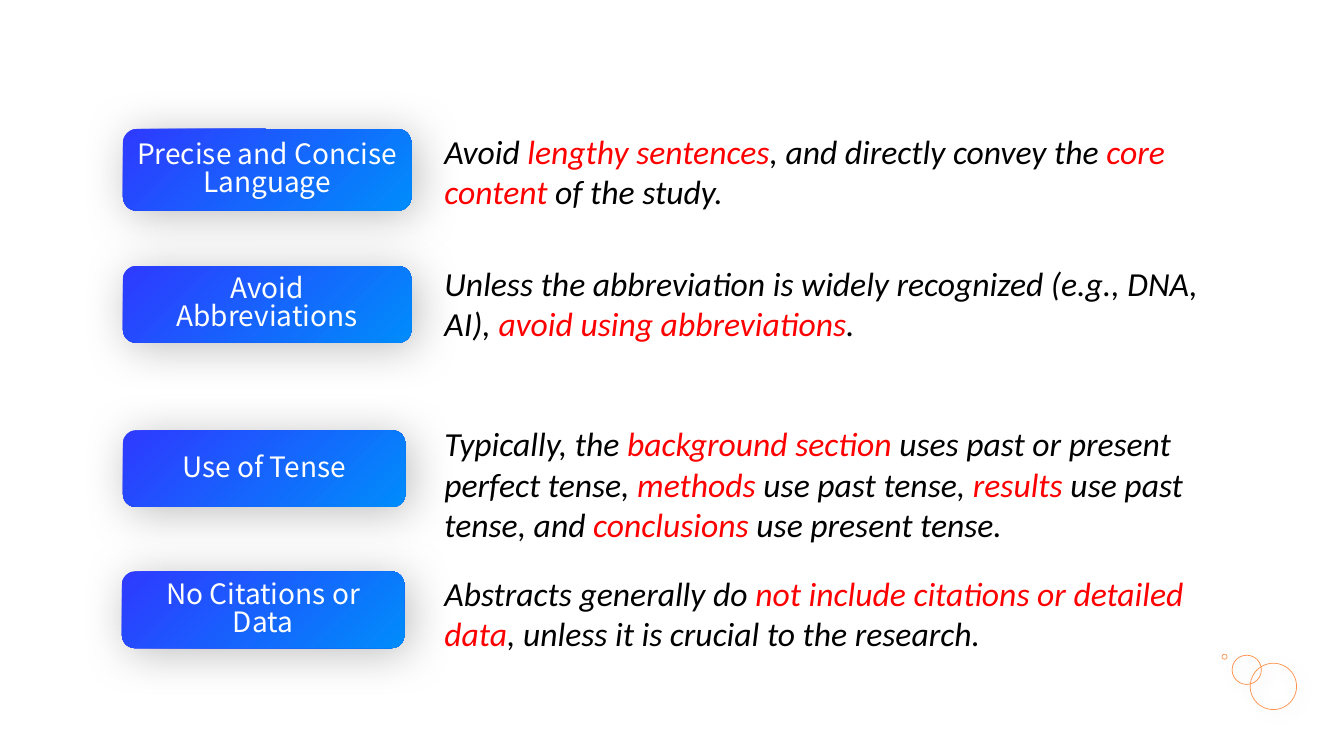
"""Build a slide of four abstract-writing rules, each a label beside its advice."""
from lxml import etree
from pptx import Presentation
from pptx import util as u
from pptx.dml.color import RGBColor
from pptx.enum import shapes, text
from pptx.oxml.ns import qn

RULES = [
    {"label": "Precise and Concise Language", "label_at": (1.22, 1.28, 2.86, 0.81),
     "advice_at": (4.31, 1.25, 8.35, 0.91),
     "advice": ["Avoid ", "lengthy sentences", ", and directly convey the ",
                "core content ", "of the study."]},
    {"label": "Avoid Abbreviations", "label_at": (1.22, 2.64, 2.86, 0.76),
     "advice_at": (4.31, 2.56, 8.2, 0.91),
     "advice": ["Unless the abbreviation is widely recognized (e.g., DNA, AI), ",
                "avoid using abbreviations", "."]},
    {"label": "Use of Tense", "label_at": (1.22, 4.27, 2.8, 0.76),
     "advice_at": (4.31, 4.15, 8.2, 1.31),
     "advice": ["Typically, the ", "background section ",
                "uses past or present perfect tense, ", "methods", " use past tense, ",
                "results", " use past tense, and ", "conclusions", " use present tense."]},
    {"label": "No Citations or Data", "label_at": (1.21, 5.67, 2.8, 0.76),
     "advice_at": (4.31, 5.63, 7.6, 0.91),
     "advice": ["Abstracts generally do ", "not include citations or detailed data",
                ", unless it is crucial to the research."]},
]
BUBBLES = [(12.12, 6.49, 0.05), (12.22, 6.5, 0.29), (12.4, 6.58, 0.46)]

THEME = {
    "label_font": {"name": "Noto Sans CJK SC", "size": u.Pt(20)},
    "advice_font": {"name": "Calibri", "size": u.Pt(24), "italic": True},
    "label_text": "FFFFFF",
    "advice_colors": ("000000", "FF0000"),
    "gradient": ("2E3AFF", "008CFB"),
    "bubble_line": "FF9149",
    "label_shadow": {"color": "000000", "alpha": 26, "blur": 33, "dist": 5},
    "bubble_shadow": {"color": "FC5D00", "alpha": 20, "blur": 12, "dist": 4},
    "label_spacing": 0.83,
}


def set_font(font, values, color):
    for name, value in values.items():
        setattr(font, name, value)
    font.color.rgb = RGBColor.from_string(color)


def cast_shadow(shape, color, alpha, blur, dist):
    shape.shadow.inherit = False
    effects = shape._element.spPr.find(qn("a:effectLst"))
    shadow = etree.SubElement(effects, qn("a:outerShdw"), blurRad=str(u.Pt(blur)),
                              dist=str(u.Pt(dist)), dir=str(45 * 60000),
                              algn="tl", rotWithShape="0")
    tint = etree.SubElement(shadow, qn("a:srgbClr"), val=color)
    etree.SubElement(tint, qn("a:alpha"), val=str(alpha * 1000))


def add_bubbles(slide):
    group = slide.shapes.add_group_shape()
    for left, top, size in BUBBLES:
        bubble = group.shapes.add_shape(shapes.MSO_SHAPE.OVAL,
                                        *map(u.Inches, (left, top, size, size)))
        bubble.fill.background()
        bubble.line.color.rgb = RGBColor.from_string(THEME["bubble_line"])
        bubble.line.width = u.Pt(0.5)
        cast_shadow(bubble, **THEME["bubble_shadow"])


def add_label(slide, wording, at):
    label = slide.shapes.add_shape(shapes.MSO_SHAPE.ROUNDED_RECTANGLE, *map(u.Inches, at))
    label.fill.gradient()
    label.fill.gradient_angle = 315
    for stop, color, position in zip(label.fill.gradient_stops, THEME["gradient"], (0, 1)):
        stop.color.rgb = RGBColor.from_string(color)
        stop.position = position
    label.line.fill.background()
    cast_shadow(label, **THEME["label_shadow"])
    frame = label.text_frame
    frame.word_wrap = True
    frame.vertical_anchor = text.MSO_ANCHOR.MIDDLE
    line = frame.paragraphs[0]
    line.alignment = text.PP_ALIGN.CENTER
    line.line_spacing = THEME["label_spacing"]
    run = line.add_run()
    run.text = wording
    set_font(run.font, THEME["label_font"], THEME["label_text"])


def add_advice(slide, phrases, at):
    frame = slide.shapes.add_textbox(*map(u.Inches, at)).text_frame
    frame.word_wrap = True
    frame.auto_size = text.MSO_AUTO_SIZE.SHAPE_TO_FIT_TEXT
    for index, phrase in enumerate(phrases):
        run = frame.paragraphs[0].add_run()
        run.text = phrase
        set_font(run.font, THEME["advice_font"], THEME["advice_colors"][index % 2])


def main():
    deck = Presentation()
    deck.slide_width, deck.slide_height = u.Inches(13.33), u.Inches(7.5)
    slide = deck.slides.add_slide(deck.slide_layouts[6])
    add_bubbles(slide)
    for rule in RULES:
        add_label(slide, rule["label"], rule["label_at"])
        add_advice(slide, rule["advice"], rule["advice_at"])
    deck.save("out.pptx")


if __name__ == "__main__":
    main()
